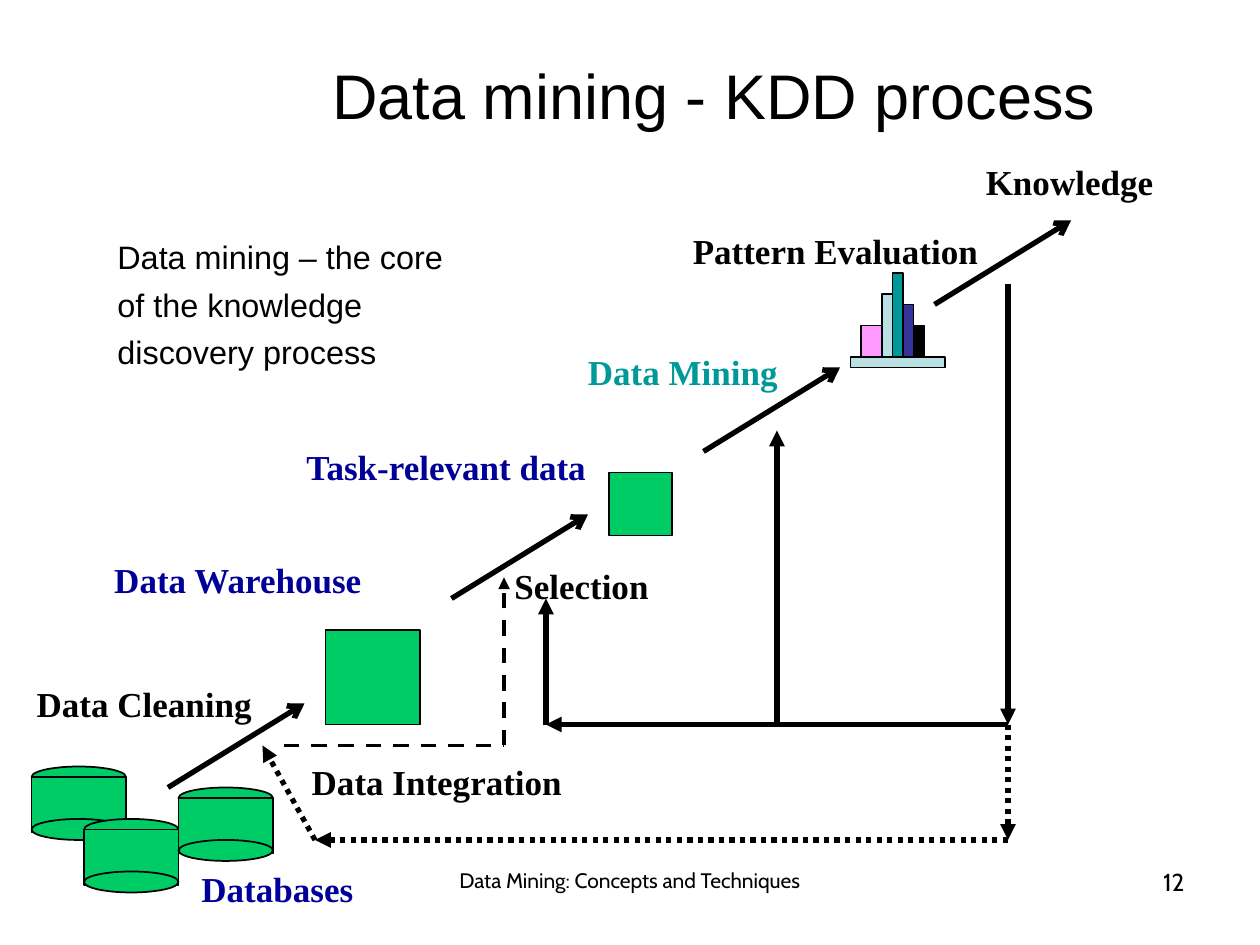
from lxml import etree
from pptx import Presentation
from pptx.dml.color import RGBColor
from pptx.enum.dml import MSO_LINE
from pptx.enum.shapes import MSO_CONNECTOR, MSO_SHAPE
from pptx.enum.text import MSO_ANCHOR, PP_ALIGN
from pptx.oxml.ns import qn
from pptx.util import Emu, Pt

PX = 7620
RECT, OVAL = MSO_SHAPE.RECTANGLE, MSO_SHAPE.OVAL
STRAIGHT = MSO_CONNECTOR.STRAIGHT
DOT, DASH = MSO_LINE.ROUND_DOT, MSO_LINE.DASH
LEFT, CENTER, RIGHT = PP_ALIGN.LEFT, PP_ALIGN.CENTER, PP_ALIGN.RIGHT
MIDDLE = MSO_ANCHOR.MIDDLE

BLACK, NAVY, TEAL, GREEN, PALE = "000000", "000099", "009999", "00CC66", "BBE0E3"
SERIF, SANS, FOOT = "Times New Roman", "Arial", "Cabin"


def px(*values):
    return [Emu(v * PX) for v in values]


def color(hex_value):
    return RGBColor.from_string(hex_value)


def add_run(p, text, font, size, fill=BLACK, bold=False):
    r = p.add_run()
    r.text = text
    r.font.name, r.font.size, r.font.bold = font, Pt(size), bold
    r.font.color.rgb = color(fill)


def add_text(s, box, lines, font, size, fill=BLACK, bold=False,
             align=LEFT, gap=0):
    tf = s.shapes.add_textbox(*px(*box)).text_frame
    tf.word_wrap = True
    for i, line in enumerate(lines):
        p = tf.add_paragraph() if i else tf.paragraphs[0]
        p.alignment = align
        if i:
            p.space_before = Pt(gap)
        add_run(p, line, font, size, fill, bold)


def add_block(s, kind, box, fill, width=1):
    sp = s.shapes.add_shape(kind, *px(*box))
    sp.shadow.inherit = False
    sp.fill.solid()
    sp.fill.fore_color.rgb = color(fill)
    sp.line.color.rgb = color(BLACK)
    sp.line.width = Pt(width)


def add_line(s, start, end, head="triangle", width=3, dash=None):
    sp = s.shapes.add_connector(STRAIGHT, *px(*start, *end))
    sp.line.color.rgb = color(BLACK)
    sp.line.width = Pt(width)
    if dash:
        sp.line.dash_style = dash
    if head:
        etree.SubElement(sp.line._get_or_add_ln(), qn("a:tailEnd"), type=head)
    etree.SubElement(sp._element.spPr, qn("a:effectLst"))


def add_title(s, box, text):
    sp = s.shapes.title
    sp.left, sp.top, sp.width, sp.height = px(*box)
    sp.text_frame.vertical_anchor = MIDDLE
    p = sp.text_frame.paragraphs[0]
    p.alignment = CENTER
    add_run(p, text, SANS, 36)


def add_database(s, x, y):
    add_block(s, OVAL, (x, y, 90, 20), GREEN)
    add_block(s, RECT, (x, y + 10, 90, 53), GREEN)
    add_block(s, OVAL, (x, y + 50, 90, 20), GREEN)


def add_pattern_bars(s, x, y):
    base = y + 80
    bars = [(40, 10, 80, TEAL), (50, 10, 50, "333399"), (30, 10, 60, PALE),
            (60, 10, 30, BLACK), (10, 20, 30, "FF99FF")]
    for dx, w, h, fill in bars:
        add_block(s, RECT, (x + dx, base - h, w, h), fill)
    add_block(s, RECT, (x, base, 90, 10), PALE)


def add_process_arrows(s):
    for x, y in [(160, 750), (430, 570), (670, 430), (890, 290)]:
        add_line(s, (x, y), (x + 130, y - 80), "arrow")


def add_feedback(s):
    right, bus, low = 960, 690, 800
    add_line(s, (740, bus), (740, 410))
    add_line(s, (right, 270), (right, bus))
    add_line(s, (right, bus), (520, bus))
    add_line(s, (520, bus), (520, 570))
    for start, end in [((right, bus), (right, low)),
                       ((right, low), (300, low)),
                       ((300, low), (250, 710))]:
        add_line(s, start, end, dash=DOT)
    add_line(s, (270, 710), (480, 710), None, 2.25, DASH)
    add_line(s, (480, 710), (480, 550), width=2.25, dash=DASH)


def add_labels(s):
    labels = [
        ("Data Cleaning", 23, 644, 240, BLACK),
        ("Data Integration", 285, 718, 275, BLACK),
        ("Databases", 180, 820, 190, NAVY),
        ("Data Warehouse", 97, 526, 270, NAVY),
        ("Task-relevant data", 280, 418, 305, NAVY),
        ("Selection", 478, 532, 165, BLACK),
        ("Data Mining", 548, 328, 220, TEAL),
        ("Pattern Evaluation", 648, 213, 310, BLACK),
        ("Knowledge", 927, 147, 200, BLACK),
    ]
    for text, x, y, w, fill in labels:
        add_text(s, (x, y, w, 53), [text], SERIF, 20, fill, True)


def add_footer(s, y):
    add_text(s, (410, y, 380, 62), ["Data Mining: Concepts and Techniques"],
             FOOT, 12, align=CENTER)
    add_text(s, (860, y, 280, 62), ["12"], FOOT, 14, align=RIGHT)


def main():
    prs = Presentation()
    prs.slide_width, prs.slide_height = px(1200, 900)
    s = prs.slides.add_slide(prs.slide_layouts[5])
    add_title(s, (160, 30, 1040, 120), "Data mining - KDD process")
    add_text(s, (100, 220, 371, 140),
             ["Data mining – the core", "of the knowledge", "discovery process"],
             SANS, 18.5, gap=5)
    add_process_arrows(s)
    for x, y in [(30, 730), (80, 780), (170, 750)]:
        add_database(s, x, y)
    add_block(s, RECT, (310, 600, 90, 90), GREEN, 0.75)
    add_block(s, RECT, (580, 450, 60, 60), GREEN, 0.75)
    add_pattern_bars(s, 810, 260)
    add_feedback(s)
    add_labels(s)
    add_footer(s, 820)
    prs.save("out.pptx")


if __name__ == "__main__":
    main()
